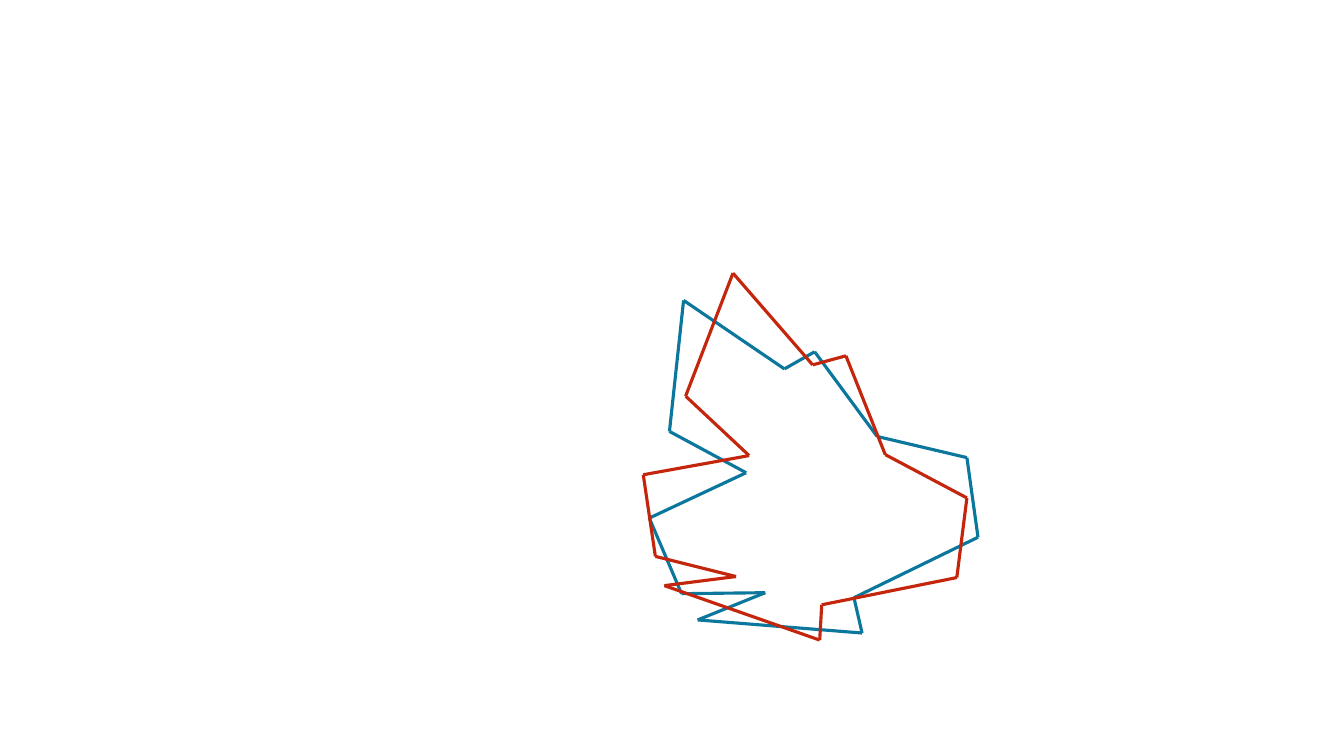
"""Build a slide with two overlapping closed outlines made of straight lines."""
import pptx
import pptx.dml.color
import pptx.enum.shapes
import pptx.oxml
import pptx.oxml.ns
import pptx.util

Inches = pptx.util.Inches

BLUE = "0C779D"
RED = "C3260C"
LINE_WIDTH = 2.25

# Corners in inches, clockwise; the last one joins the first.
BLUE_CORNERS = [
    (8.08, 3.49), (8.7, 4.33), (9.59, 4.54), (9.7, 5.33), (8.47, 5.93),
    (8.55, 6.28), (6.92, 6.15), (7.59, 5.88), (6.76, 5.89), (6.44, 5.14),
    (7.4, 4.69), (6.64, 4.28), (6.78, 2.98), (7.78, 3.66),
]
RED_CORNERS = [
    (8.39, 3.53), (8.78, 4.51), (9.59, 4.94), (9.49, 5.73), (8.15, 6),
    (8.13, 6.35), (6.59, 5.81), (7.3, 5.72), (6.5, 5.52), (6.38, 4.71),
    (7.43, 4.52), (6.8, 3.93), (7.27, 2.71), (8.06, 3.62),
]


def color(hex_string):
    """Return the colour for a hex string."""
    return pptx.dml.color.RGBColor.from_string(hex_string)


def add_line(shapes, start, end, line_color):
    """Add one straight line without a shadow."""
    connector = shapes.add_connector(
        pptx.enum.shapes.MSO_CONNECTOR.STRAIGHT,
        *(Inches(length) for length in (*start, *end)))
    connector.line.color.rgb = color(line_color)
    connector.line.width = pptx.util.Pt(LINE_WIDTH)
    properties = connector._element.spPr
    properties.append(pptx.oxml.parse_xml(
        f'<a:effectLst {pptx.oxml.ns.nsdecls("a")}/>'))


def add_outline(slide, corners, line_color):
    """Add a group of lines that joins the corners into a closed outline."""
    group = slide.shapes.add_group_shape()
    for start, end in zip(corners, corners[1:] + corners[:1]):
        add_line(group.shapes, start, end, line_color)


def main():
    """Build and save the presentation."""
    presentation = pptx.Presentation()
    presentation.slide_width = Inches(13.33)
    presentation.slide_height = Inches(7.5)
    slide = presentation.slides.add_slide(presentation.slide_layouts[6])
    add_outline(slide, BLUE_CORNERS, BLUE)
    add_outline(slide, RED_CORNERS, RED)
    presentation.save("out.pptx")


main()
